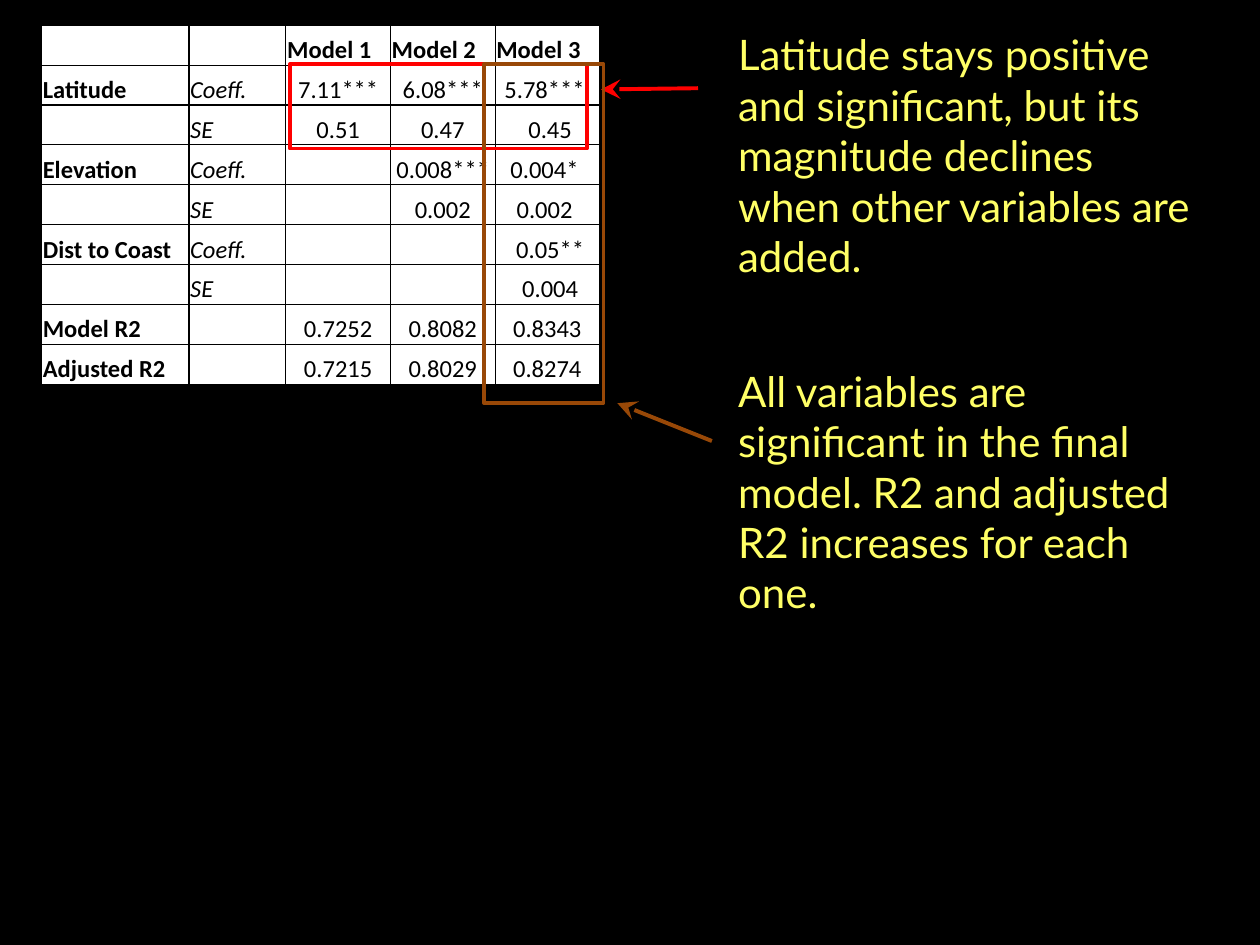
from lxml.etree import SubElement
from pptx import Presentation
from pptx.dml.color import RGBColor
from pptx.enum.shapes import MSO_CONNECTOR, MSO_SHAPE
from pptx.enum.text import MSO_ANCHOR as Anchor, PP_ALIGN as Align
from pptx.oxml.ns import qn
from pptx.util import Inches, Pt

BLACK = RGBColor(0x00, 0x00, 0x00)
WHITE = RGBColor(0xFF, 0xFF, 0xFF)
RED = RGBColor(0xFF, 0x00, 0x00)
BROWN = RGBColor(0x98, 0x48, 0x07)
YELLOW = RGBColor(0xFF, 0xFF, 0x66)

NBSP = "\u00a0"
RESULTS = [
    ["", "", "Model 1", "Model 2", "Model 3"],
    ["Latitude", "Coeff.", "7.11***", "6.08***", "5.78***" + NBSP],
    ["", "SE", "0.51", "0.47", NBSP + "0.45"],
    ["Elevation", "Coeff.", "", "0.008***", "0.004*" + NBSP],
    ["", "SE", "", "0.002", "0.002" + NBSP],
    ["Dist to Coast", "Coeff.", "", "", NBSP + "0.05**"],
    ["", "SE", "", "", NBSP + "0.004"],
    ["Model R2", "", "0.7252", "0.8082", "0.8343"],
    ["Adjusted R2", "", "0.7215", "0.8029", "0.8274"],
]
COLUMN_WIDTHS = [1.17, 0.77, 0.83, 0.83, 0.83]
TABLE_HEIGHT = 2.85


def add_run(paragraph, text, font_name, size, color):
    """Add a formatted run and return its font."""
    run = paragraph.add_run()
    run.text = text
    run.font.name = font_name
    run.font.size = Pt(size)
    run.font.color.rgb = color
    return run.font


def add_borders(cell):
    """Draw a thin black line on all four sides of a cell, ahead of its fill."""
    properties = cell._tc.get_or_add_tcPr()
    for position, side in enumerate(("a:lnL", "a:lnR", "a:lnT", "a:lnB")):
        border = SubElement(properties, qn(side), w=str(Pt(0.75)))
        fill = SubElement(border, qn("a:solidFill"))
        SubElement(fill, qn("a:srgbClr"), val=str(BLACK))
        properties.insert(position, border)


deck = Presentation()
deck.slide_width, deck.slide_height = Inches(10), Inches(7.5)
slide = deck.slides.add_slide(deck.slide_layouts[6])
slide.background.fill.solid()
slide.background.fill.fore_color.rgb = BLACK

# Regression table
models = slide.shapes.add_table(
    len(RESULTS), len(COLUMN_WIDTHS), Inches(0.33), Inches(0.2),
    Inches(sum(COLUMN_WIDTHS)), Inches(TABLE_HEIGHT)).table
models.first_row = models.horz_banding = False
for column, width in zip(models.columns, COLUMN_WIDTHS):
    column.width = Inches(width)

for r, values in enumerate(RESULTS):
    models.rows[r].height = Inches(TABLE_HEIGHT / len(RESULTS))
    for c, value in enumerate(values):
        cell = models.cell(r, c)
        cell.fill.solid()
        cell.fill.fore_color.rgb = WHITE
        cell.margin_left = cell.margin_right = cell.margin_top = Inches(0.01)
        cell.margin_bottom = 0
        cell.vertical_anchor = Anchor.BOTTOM
        add_borders(cell)
        paragraph = cell.text_frame.paragraphs[0]
        paragraph.font.size = Pt(14)
        if value:
            font = add_run(paragraph, value, "Calibri", 14, BLACK)
            font.bold = r == 0 or c == 0
            font.italic = c == 1
            if r > 0 and c > 1:
                paragraph.alignment = Align.CENTER

# Each finding: frame on the table, arrow to the frame, explanation
FINDINGS = [
    (RED, (2.3, 0.51, 2.36, 0.67), (5.54, 0.7, 4.77, 0.71), 0.18,
     "Latitude stays positive and significant, but its magnitude declines "
     "when other variables are added."),
    (BROWN, (3.84, 0.51, 0.95, 2.69), (5.65, 3.5, 4.9, 3.2), 2.85,
     "All variables are significant in the final model. R2 and adjusted R2 "
     "increases for each one."),
]
for color, frame_box, arrow_ends, note_top, finding in FINDINGS:
    frame = slide.shapes.add_shape(MSO_SHAPE.RECTANGLE, *map(Inches, frame_box))
    frame.shadow.inherit = False
    frame.fill.background()
    frame.line.color.rgb = color
    frame.line.width = Pt(2)

    arrow = slide.shapes.add_connector(
        MSO_CONNECTOR.STRAIGHT, *map(Inches, arrow_ends))
    arrow.line.color.rgb = color
    arrow.line.width = Pt(2.25)
    SubElement(arrow.line._get_or_add_ln(), qn("a:tailEnd"),
               type="stealth", w="lg", len="lg")
    SubElement(arrow._element.spPr, qn("a:effectLst"))

    note = slide.shapes.add_textbox(
        Inches(5.76), Inches(note_top), Inches(3.83), Inches(1.31)).text_frame
    note.word_wrap = True
    add_run(note.paragraphs[0], finding, "Lato", 24, YELLOW)

deck.save("out.pptx")
